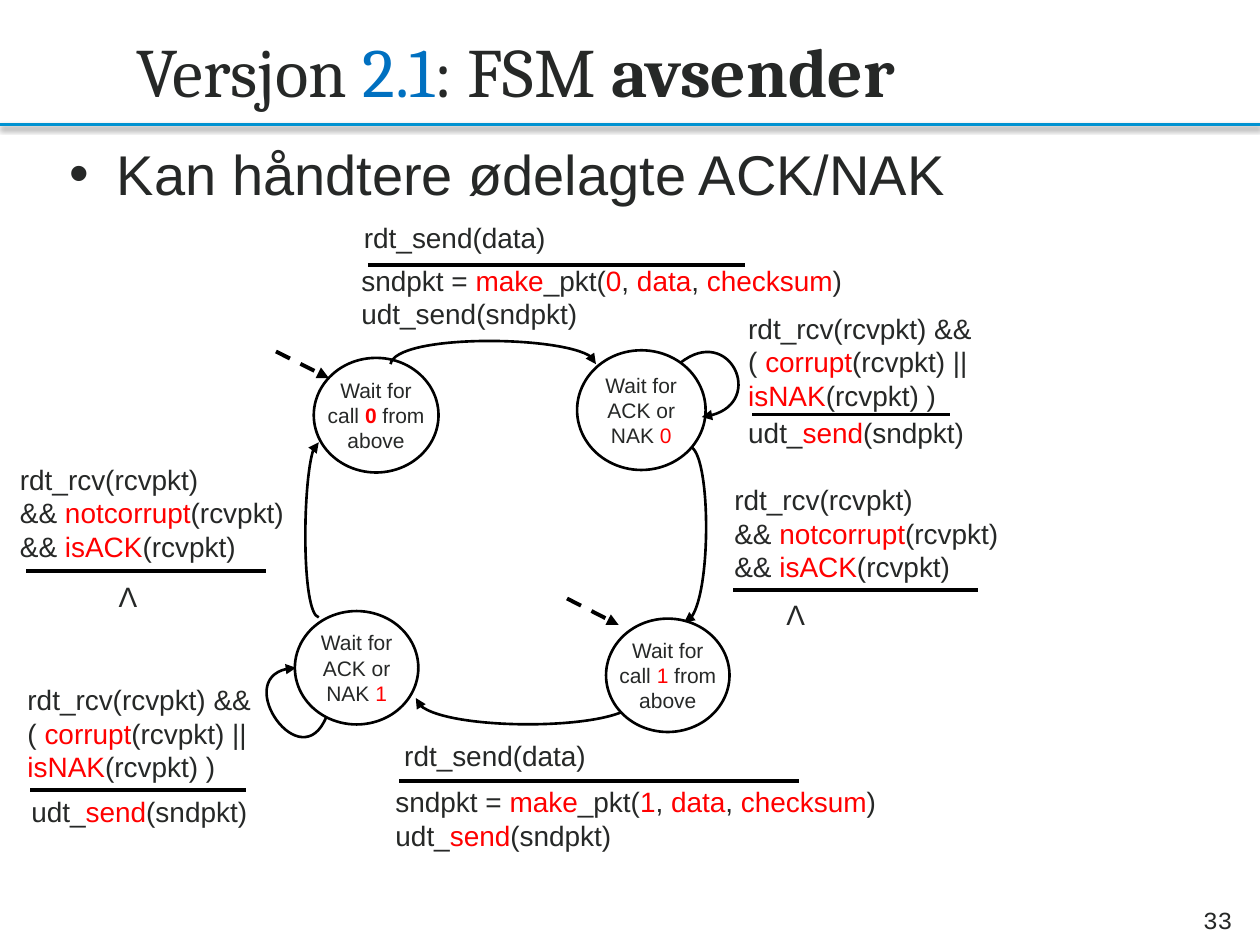
from lxml import etree
from pptx import Presentation
from pptx.dml.color import RGBColor
from pptx.enum.dml import MSO_LINE
from pptx.enum.shapes import MSO_CONNECTOR, MSO_SHAPE
from pptx.enum.text import MSO_ANCHOR, MSO_AUTO_SIZE, PP_ALIGN
from pptx.oxml import parse_xml
from pptx.oxml.ns import nsdecls, qn
from pptx.util import Inches, Pt

LEFT, MID, RIGHT = PP_ALIGN.LEFT, PP_ALIGN.CENTER, PP_ALIGN.RIGHT
TOP, CENTRE = MSO_ANCHOR.TOP, MSO_ANCHOR.MIDDLE
FIXED, GROW = MSO_AUTO_SIZE.NONE, MSO_AUTO_SIZE.SHAPE_TO_FIT_TEXT
STRAIGHT, OVAL, DASH = MSO_CONNECTOR.STRAIGHT, MSO_SHAPE.OVAL, MSO_LINE.DASH

INK = RGBColor(0x26, 0x28, 0x27)
RED = RGBColor(0xFF, 0x00, 0x00)
BLUE = RGBColor(0x00, 0x70, 0xC0)
SKY = RGBColor(0x00, 0x92, 0xD1)
BLACK = RGBColor(0x00, 0x00, 0x00)
WHITE = RGBColor(0xFF, 0xFF, 0xFF)

COLS, ROWS = 100, 75
CELL = Inches(0.1)
STEPS = 40

deck = Presentation()
deck.slide_width, deck.slide_height = COLS * CELL, ROWS * CELL
slide = deck.slides.add_slide(deck.slide_layouts[5])
shapes = slide.shapes


def write(text, box, size=16, font="Arial", hue=RED, align=LEFT,
          anchor=TOP, wrap=True, holder=None):
    left, top, wide, high = [round(n * CELL) for n in box]
    shape = holder or shapes.add_textbox(left, top, wide, high)
    shape.left, shape.top, shape.width, shape.height = left, top, wide, high
    frame = shape.text_frame
    frame.word_wrap = wrap
    frame.auto_size = FIXED if wrap else GROW
    frame.vertical_anchor = anchor
    for row, words in enumerate(text.split("\n")):
        para = frame.add_paragraph() if row else frame.paragraphs[0]
        para.alignment = align
        for spot, piece in enumerate(words.split("~")):
            for turn, bit in enumerate(piece.split("^")):
                if bit:
                    run = para.add_run()
                    run.text = bit
                    run.font.name = font
                    run.font.size = Pt(size)
                    run.font.bold = turn % 2 == 1
                    run.font.color.rgb = hue if spot % 2 else INK
    return frame


def stroke(shape, width, hue=BLACK, dash=None, arrow=False):
    shape.line.color.rgb = hue
    shape.line.width = Pt(width)
    if dash:
        shape.line.dash_style = dash
    if arrow:
        edge = shape._element.xpath(".//a:ln")[0]
        etree.SubElement(edge, qn("a:tailEnd"), type="triangle")
    return etree.SubElement(shape._element.spPr, qn("a:effectLst"))


rule = shapes.add_connector(STRAIGHT, 0, round(9.9 * CELL), COLS * CELL, round(9.9 * CELL))
glow = stroke(rule, 2, hue=SKY)
glow.append(parse_xml(
    f'<a:outerShdw {nsdecls("a")} blurRad="{Pt(3.1)}" dist="{Pt(1.6)}" dir="5400000" '
    'rotWithShape="0"><a:srgbClr val="000000"><a:alpha val="38000"/></a:srgbClr></a:outerShdw>'))

write("Versjon ~2.1~: FSM ^avsender^", (9.8, 2.1, 88.2, 6.9), size=39.6, font="Cambria",
      hue=BLUE, anchor=CENTRE, holder=shapes.title)
point = write("Kan håndtere ødelagte ACK/NAK", (4.5, 10.6, 90, 57.5), size=32).paragraphs[0]
point.space_before = Pt(3)
props = point._p.get_or_add_pPr()
props.set("marL", str(Inches(0.38)))
props.set("indent", str(-Inches(0.38)))
etree.SubElement(props, qn("a:buFont"), typeface="Arial")
etree.SubElement(props, qn("a:buChar"), char="•")
write("33", (89.4, 71, 9.4, 4), size=14, font="Courier New", align=RIGHT, anchor=CENTRE)

upper = [
    ("Wait for call ~^0^~ from above", (24.9, 28.4, 9.9, 9.1)),
    ("Wait for ACK or NAK ~0~", (45.8, 27.8, 10.2, 9.5)),
]
lower = [
    ("Wait for\ncall ~1~ from above", (48.1, 49.1, 9.8, 9)),
    ("Wait for ACK or NAK ~1~", (23.4, 48.5, 9.8, 9)),
]
arcs = [
    ((25.9, 56.9), (23.9, 61.8), (17.9, 53.2), (23.5, 53)),
    ((31, 28.9), (31.4, 26.5), (47.3, 26.6), (47.3, 28.9)),
    ((54, 28.8), (57.9, 25.7), (61.1, 32.5), (55.7, 33.1)),
    ((25.3, 49), (23.9, 48.7), (24, 35.1), (25.3, 35.1)),
    ((50.5, 55.4), (50.5, 58), (33.3, 58.2), (33, 55.4)),
    ((54.9, 35.5), (56.4, 36.5), (56.5, 49.1), (54.3, 49.4)),
]
for states, moves in ((upper, arcs), (lower, [])):
    for text, ring in states:
        node = shapes.add_shape(OVAL, *[round(n * CELL) for n in ring])
        node.fill.solid()
        node.fill.fore_color.rgb = WHITE
        stroke(node, 1.5)
        left, top, wide, high = ring
        write(text, (left - 0.2, top, wide + 0.4, high), size=12, align=MID, anchor=CENTRE)
    for arc in moves:
        knots = [(round(x * CELL), round(y * CELL)) for x, y in arc]
        track = []
        for step in range(STEPS + 1):
            t = step / STEPS
            mix = ((1 - t) ** 3, 3 * t * (1 - t) ** 2, 3 * t * t * (1 - t), t ** 3)
            track.append([round(sum(m * k[axis] for m, k in zip(mix, knots))) for axis in (0, 1)])
        pen = shapes.build_freeform(*track[0])
        pen.add_line_segments(track[1:], close=False)
        curve = pen.convert_to_shape()
        curve.fill.background()
        trail = curve._element.xpath(".//a:path")[0]
        for leg in trail.findall(qn("a:lnTo")):
            trail.remove(leg)
        bend = etree.SubElement(trail, qn("a:cubicBezTo"))
        for x, y in knots[1:]:
            etree.SubElement(bend, qn("a:pt"), x=str(x - curve.left), y=str(y - curve.top))
        stroke(curve, 1.5, arrow=True)

SEND = "rdt_send(data)"
MAKE = "sndpkt = ~make~_pkt(~{}~, ~data~, ~checksum~)\n"
AGAIN = "udt_~send~(sndpkt)"
FAULT = "rdt_rcv(rcvpkt) &&\n( ~corrupt~(rcvpkt) ||\n~isNAK~(rcvpkt) )"
GOOD = "rdt_rcv(rcvpkt)\n&& ~notcorrupt~(rcvpkt)\n&& ~isACK~(rcvpkt)"
for text, box in (
    (SEND, (27.9, 17, 23.1, 3.3)),
    (MAKE.format(0) + "udt_send(sndpkt)", (27.7, 20.4, 40.4, 4.4)),
    (FAULT, (58.4, 24.2, 28, 6.2)),
    (AGAIN, (58.4, 32.5, 24.7, 4.4)),
    (GOOD, (57.3, 37.8, 32.8, 6.2)),
    (SEND, (31.1, 58.1, 26.1, 3.1)),
    (MAKE.format(1) + AGAIN, (30.4, 61.8, 41.2, 4.4)),
    (FAULT, (1.2, 53.7, 22, 6.2)),
    (AGAIN, (1.5, 62.6, 19.9, 3)),
    (GOOD, (0.6, 36.2, 23.1, 6.2)),
):
    write(text, box)
for left, top in ((61.4, 46.9), (8.4, 45.5)):
    write("Λ", (left, top, 3.5, 3.7), align=MID, wrap=False)

for left, right, row in ((29.2, 59.1, 21), (59.7, 75.4, 32.9), (58.2, 77.6, 46.8),
                         (31.7, 63.4, 62), (2.4, 19.5, 62.7), (2.1, 21.1, 45.3)):
    bar = shapes.add_connector(STRAIGHT, *[round(n * CELL) for n in (left, row, right, row)])
    stroke(bar, 2.25)
for ends in ((21.9, 27.9, 26.1, 30), (45, 47.5, 49.1, 49.6)):
    entry = shapes.add_connector(STRAIGHT, *[round(n * CELL) for n in ends])
    stroke(entry, 2.25, dash=DASH, arrow=True)

deck.save("out.pptx")
